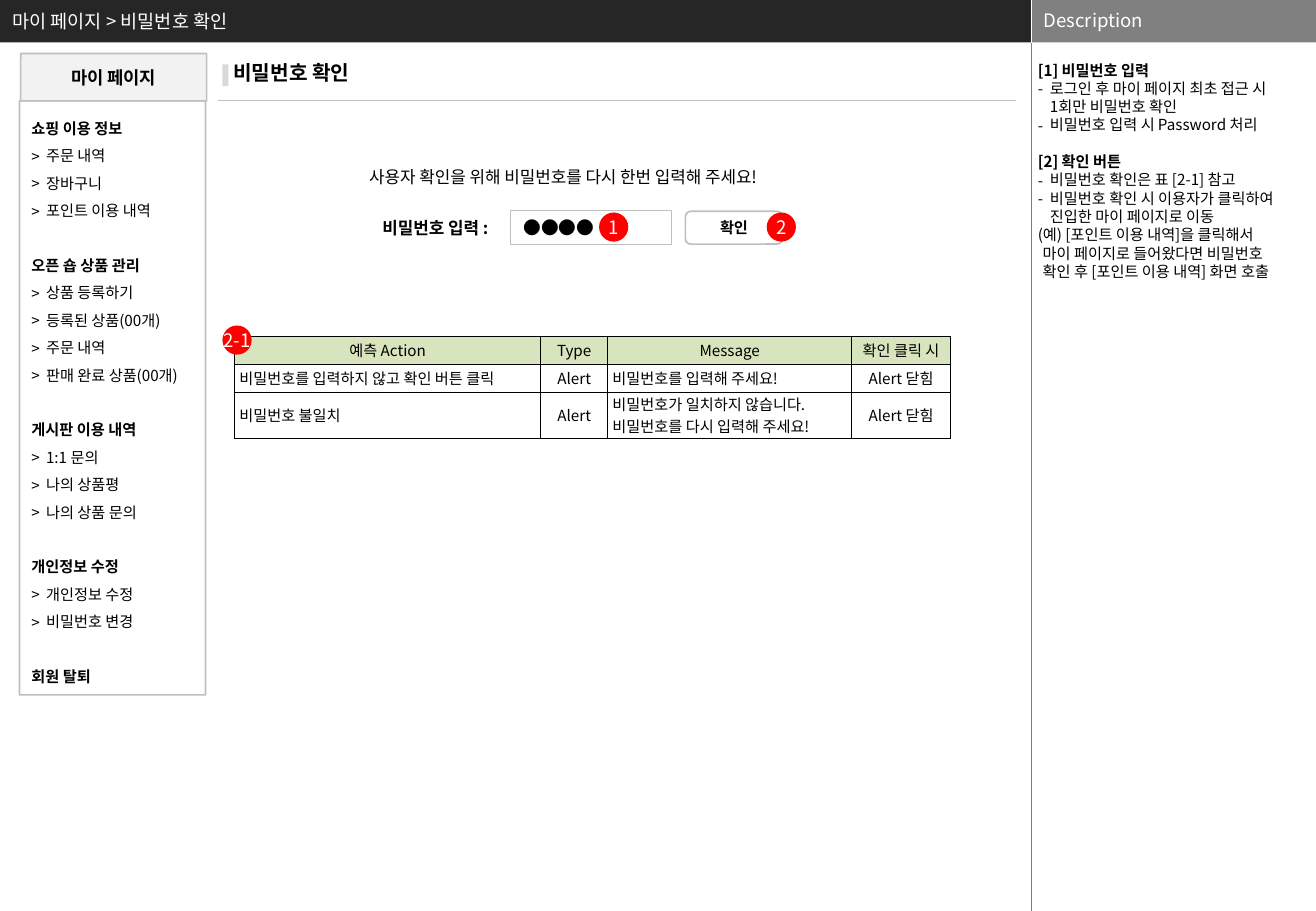
from lxml.etree import SubElement
from pptx import Presentation
from pptx.dml.color import RGBColor
from pptx.enum.shapes import MSO_CONNECTOR, MSO_SHAPE
from pptx.enum.text import MSO_ANCHOR, MSO_AUTO_SIZE, PP_ALIGN
from pptx.oxml.ns import qn
from pptx.util import Inches, Pt

SLIDE_WIDTH, SLIDE_HEIGHT = Inches(10.83), Inches(7.5)
COLUMN, ROW = SLIDE_WIDTH / 100, SLIDE_HEIGHT / 100
FONT = "Noto Sans CJK KR"
COLORS = {
    "black": "000000", "white": "FFFFFF", "header": "262626", "side": "808080",
    "divider": "7F7F7F", "border": "BFBFBF", "panel": "F2F2F2",
    "marker": "D9D9D9", "badge": "FF0000", "table_head": "D7E4BD",
}
HEADER_HEIGHT, SIDE_LEFT, RULE_TOP = 4.67, 78.39, 11.07
SIDE_WIDTH = 100 - SIDE_LEFT

DESCRIPTION = [
    ("[1] 비밀번호 입력", [
        "- 로그인 후 마이 페이지 최초 접근 시\v1회만 비밀번호 확인",
        "- 비밀번호 입력 시 Password 처리"]),
    ("[2] 확인 버튼", [
        "- 비밀번호 확인은 표 [2-1] 참고",
        "- 비밀번호 확인 시 이용자가 클릭하여\v진입한 마이 페이지로 이동",
        "(예) [포인트 이용 내역]을 클릭해서\v마이 페이지로 들어왔다면 비밀번호\v"
        "확인 후 [포인트 이용 내역] 화면 호출"]),
]
MENU = [
    ("쇼핑 이용 정보", ["> 주문 내역", "> 장바구니", "> 포인트 이용 내역"]),
    ("오픈 숍 상품 관리", ["> 상품 등록하기", "> 등록된 상품(00개)",
                    "> 주문 내역", "> 판매 완료 상품(00개)"]),
    ("게시판 이용 내역", ["> 1:1 문의", "> 나의 상품평", "> 나의 상품 문의"]),
    ("개인정보 수정", ["> 개인정보 수정", "> 비밀번호 변경"]),
    ("회원 탈퇴", []),
]
ALERT_TABLE = [
    ["예측 Action", "Type", "Message", "확인 클릭 시"],
    ["비밀번호를 입력하지 않고 확인 버튼 클릭", "Alert",
     "비밀번호를 입력해 주세요!", "Alert 닫힘"],
    ["비밀번호 불일치", "Alert",
     "비밀번호가 일치하지 않습니다.\v비밀번호를 다시 입력해 주세요!", "Alert 닫힘"],
]


def color(name):
    return RGBColor.from_string(COLORS[name])


def grid(left, top, width, height):
    """Turn grid columns and rows into slide lengths."""
    return (round(left * COLUMN), round(top * ROW),
            round(width * COLUMN), round(height * ROW))


def format_runs(paragraph, size, color_name="black", bold=False):
    for run in paragraph.runs:
        run.font.size, run.font.bold, run.font.name = Pt(size), bold, FONT
        run.font.color.rgb = color(color_name)
        SubElement(run.font._element, qn("a:ea"), typeface=FONT)


def set_frame(text_frame, left=0.1, right=0.0, vertical=0.0,
              anchor=MSO_ANCHOR.MIDDLE):
    text_frame.word_wrap = True
    text_frame.auto_size = MSO_AUTO_SIZE.NONE
    text_frame.vertical_anchor = anchor
    text_frame.margin_left, text_frame.margin_right = Inches(left), Inches(right)
    text_frame.margin_top = text_frame.margin_bottom = Inches(vertical)


def set_text(text_frame, text, size, color_name="black", bold=False,
             align=PP_ALIGN.LEFT):
    text_frame.text = text
    paragraph = text_frame.paragraphs[0]
    paragraph.alignment = align
    format_runs(paragraph, size, color_name, bold)


def add_box(slide, kind, place, fill=None, line=None, line_width=1.0):
    shape = slide.shapes.add_shape(kind, *grid(*place))
    shape.shadow.inherit = False
    if fill:
        shape.fill.solid()
        shape.fill.fore_color.rgb = color(fill)
    else:
        shape.fill.background()
    if line:
        shape.line.color.rgb = color(line)
        shape.line.width = Pt(line_width)
    else:
        shape.line.fill.background()
    return shape


def add_button(slide, place, text, size, fill, corner=None):
    button = add_box(slide, MSO_SHAPE.ROUNDED_RECTANGLE, place, fill, "border")
    if corner is not None:
        button.adjustments[0] = corner
    set_frame(button.text_frame, right=0.1)
    set_text(button.text_frame, text, size, bold=True, align=PP_ALIGN.CENTER)


def add_label(slide, place, text, size, color_name="black", bold=False, left=0.1):
    label = slide.shapes.add_textbox(*grid(*place))
    set_frame(label.text_frame, left=left)
    set_text(label.text_frame, text, size, color_name, bold)


def add_line(slide, start, end, color_name, width):
    left, top, right, bottom = grid(*start, *end)
    line = slide.shapes.add_connector(MSO_CONNECTOR.STRAIGHT, left, top, right, bottom)
    line.line.color.rgb = color(color_name)
    line.line.width = Pt(width)
    SubElement(line._element.spPr, qn("a:effectLst"))


def add_badge(slide, left, top, text):
    badge = add_box(slide, MSO_SHAPE.OVAL, (left, top, 2.22, 3.2), "badge")
    set_frame(badge.text_frame, left=0)
    badge.text_frame.word_wrap = False
    paragraph = badge.text_frame.paragraphs[0]
    paragraph.alignment = PP_ALIGN.CENTER
    for letter in text:
        run = paragraph.add_run()
        run.text = letter
        if letter == "-":
            run.font._element.set("spc", "-150")
    format_runs(paragraph, 11, "white")


def set_bullet(paragraph, mark, hanging):
    """Give a hanging indent, with a bullet mark or with none."""
    properties = paragraph._p.get_or_add_pPr()
    properties.set("marL", str(Inches(hanging)))
    properties.set("indent", str(-Inches(hanging)))
    if mark:
        SubElement(properties, qn("a:buFont"), typeface=FONT)
        SubElement(properties, qn("a:buChar"), char=mark)
    else:
        SubElement(properties, qn("a:buNone"))


def fill_groups(text_frame, groups, pitch, hanging):
    """Write bold headings, each with its list, one empty line apart."""
    lines = [(text, text == heading and index == 0, number)
             for number, (heading, items) in enumerate(groups)
             for index, text in enumerate([heading, *items])]
    for position, (text, is_heading, number) in enumerate(lines):
        paragraph = text_frame.add_paragraph() if position else text_frame.paragraphs[0]
        mark = text[0] if text[:2] in ("- ", "> ") else None
        paragraph.text = text[2:] if mark else text
        paragraph.alignment = PP_ALIGN.LEFT
        paragraph.line_spacing = Pt(pitch)
        paragraph.space_before = Pt(pitch if is_heading and number else 0)
        set_bullet(paragraph, mark, hanging if mark else 0 if is_heading else 0.04)
        format_runs(paragraph, 9, bold=is_heading)


def add_borders(cell):
    properties = cell._tc.get_or_add_tcPr()
    for side in ("lnL", "lnR", "lnT", "lnB"):
        border = SubElement(properties, qn(f"a:{side}"), w=str(Pt(0.5)))
        fill = SubElement(border, qn("a:solidFill"))
        SubElement(fill, qn("a:srgbClr"), val=COLORS["black"])


def add_alert_table(slide, left, top, widths, heights):
    place = grid(left, top, sum(widths), sum(heights))
    table = slide.shapes.add_table(len(heights), len(widths), *place).table
    table.first_row = table.horz_banding = False
    for column, width in zip(table.columns, widths):
        column.width = round(width * COLUMN)
    for row_index, (row, height) in enumerate(zip(table.rows, heights)):
        row.height = round(height * ROW)
        for column_index, cell in enumerate(row.cells):
            add_borders(cell)
            if row_index == 0:
                cell.fill.solid()
                cell.fill.fore_color.rgb = color("table_head")
            else:
                cell.fill.background()
            cell.vertical_anchor = MSO_ANCHOR.MIDDLE
            cell.margin_left = cell.margin_right = Inches(0.04)
            cell.margin_top = cell.margin_bottom = 0
            centred = row_index == 0 or column_index % 2 == 1
            set_text(cell.text_frame, ALERT_TABLE[row_index][column_index], 9,
                     align=PP_ALIGN.CENTER if centred else PP_ALIGN.LEFT)


def add_header(slide):
    add_box(slide, MSO_SHAPE.RECTANGLE, (0, 0, SIDE_LEFT, HEADER_HEIGHT), "header")
    add_box(slide, MSO_SHAPE.RECTANGLE, (SIDE_LEFT, 0, SIDE_WIDTH, HEADER_HEIGHT), "side")
    add_line(slide, (SIDE_LEFT, 0), (SIDE_LEFT, HEADER_HEIGHT), "white", 0.25)
    add_line(slide, (SIDE_LEFT, HEADER_HEIGHT), (SIDE_LEFT, 100), "divider", 0.25)
    add_label(slide, (SIDE_LEFT, 0, SIDE_WIDTH, 4.5), "Description", 11, "white")
    title = slide.shapes.title
    title.left, title.top, title.width, title.height = grid(0, 0, 76.18, HEADER_HEIGHT)
    set_frame(title.text_frame)
    set_text(title.text_frame, "마이 페이지 > 비밀번호 확인", 11, "white")
    title._element.getparent().append(title._element)


def add_description(slide):
    body = slide.placeholders[1]
    body.left, body.top, body.width, body.height = grid(78.49, 6.67, 21.51, 93.33)
    set_frame(body.text_frame, left=0.04, right=0.04, anchor=MSO_ANCHOR.TOP)
    fill_groups(body.text_frame, DESCRIPTION, 10.85, 0.1)


def add_menu(slide):
    menu = add_box(slide, MSO_SHAPE.ROUNDED_RECTANGLE, (1.48, RULE_TOP, 14.13, 65.2),
                   line="border")
    menu.adjustments[0] = 0.001
    set_frame(menu.text_frame)
    fill_groups(menu.text_frame, MENU, 16.25, 0.12)
    add_button(slide, (1.57, 5.87, 14.13, 5.2), "마이 페이지", 10.5, "panel", 0.001)


def add_password_form(slide):
    add_label(slide, (16.44, 6, 25.48, 4), "비밀번호 확인", 12, bold=True, left=0.14)
    add_box(slide, MSO_SHAPE.RECTANGLE, (16.9, 7.07, 0.46, 2.4), "marker")
    add_line(slide, (16.53, RULE_TOP), (77.19, RULE_TOP), "border", 0.75)
    add_label(slide, (27.15, 17.6, 35.18, 3.6),
              "사용자 확인을 위해 비밀번호를 다시 한번 입력해 주세요!", 10)
    add_box(slide, MSO_SHAPE.RECTANGLE, (38.78, 23.07, 12.28, 3.73),
            "white", "border", 0.75)
    add_button(slide, (52.08, 23.2, 7.39, 3.6), "확인", 9, "white")
    add_label(slide, (28.16, 23.2, 11.27, 3.6), "비밀번호 입력 :", 10, bold=True)
    add_label(slide, (38.87, 23.07, 7.57, 3.87), "●●●●", 10.5)


def main():
    presentation = Presentation()
    presentation.slide_width, presentation.slide_height = SLIDE_WIDTH, SLIDE_HEIGHT
    slide = presentation.slides.add_slide(presentation.slide_layouts[1])
    add_header(slide)
    add_description(slide)
    add_password_form(slide)
    add_alert_table(slide, 17.82, 36.93, [23.27, 5.08, 18.56, 7.48], [3.07, 3.07, 5.07])
    for left, top, text in [(45.52, 23.33, "1"), (58.26, 23.33, "2"), (16.9, 35.73, "2-1")]:
        add_badge(slide, left, top, text)
    add_menu(slide)
    presentation.save("out.pptx")


if __name__ == "__main__":
    main()
